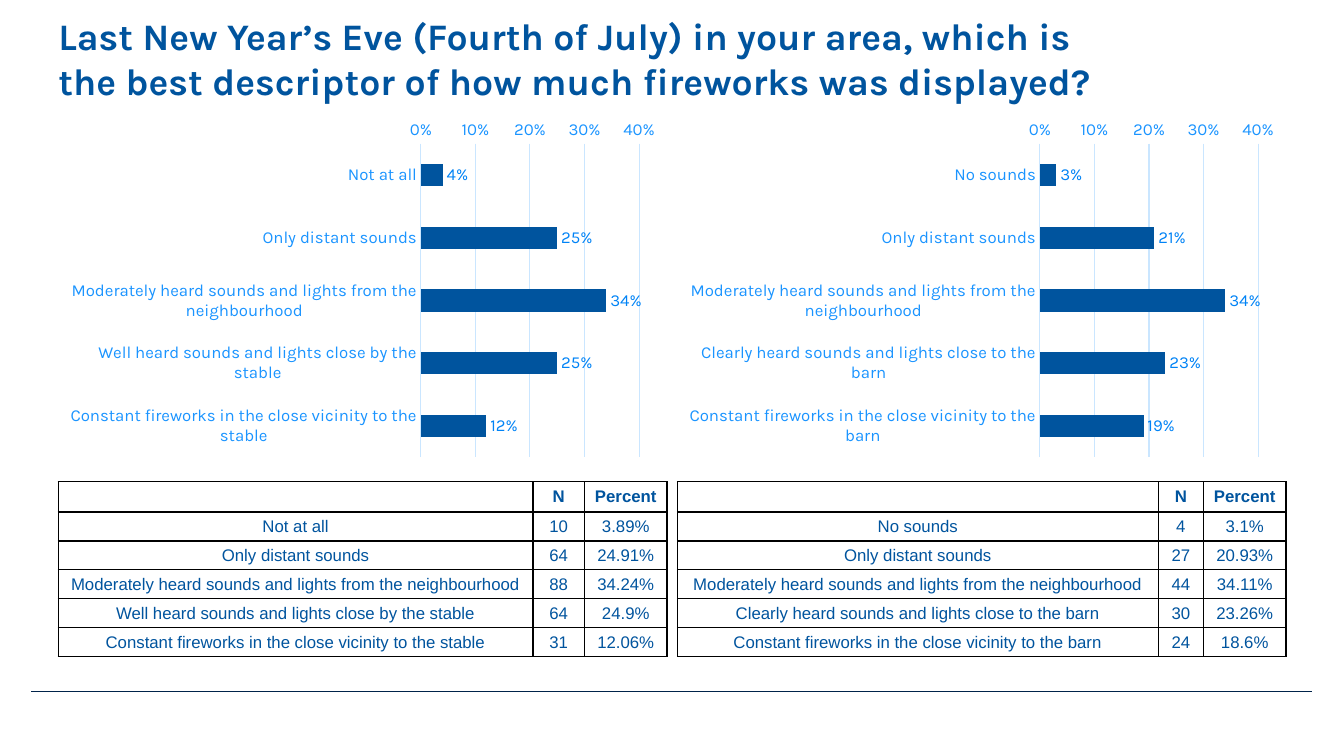
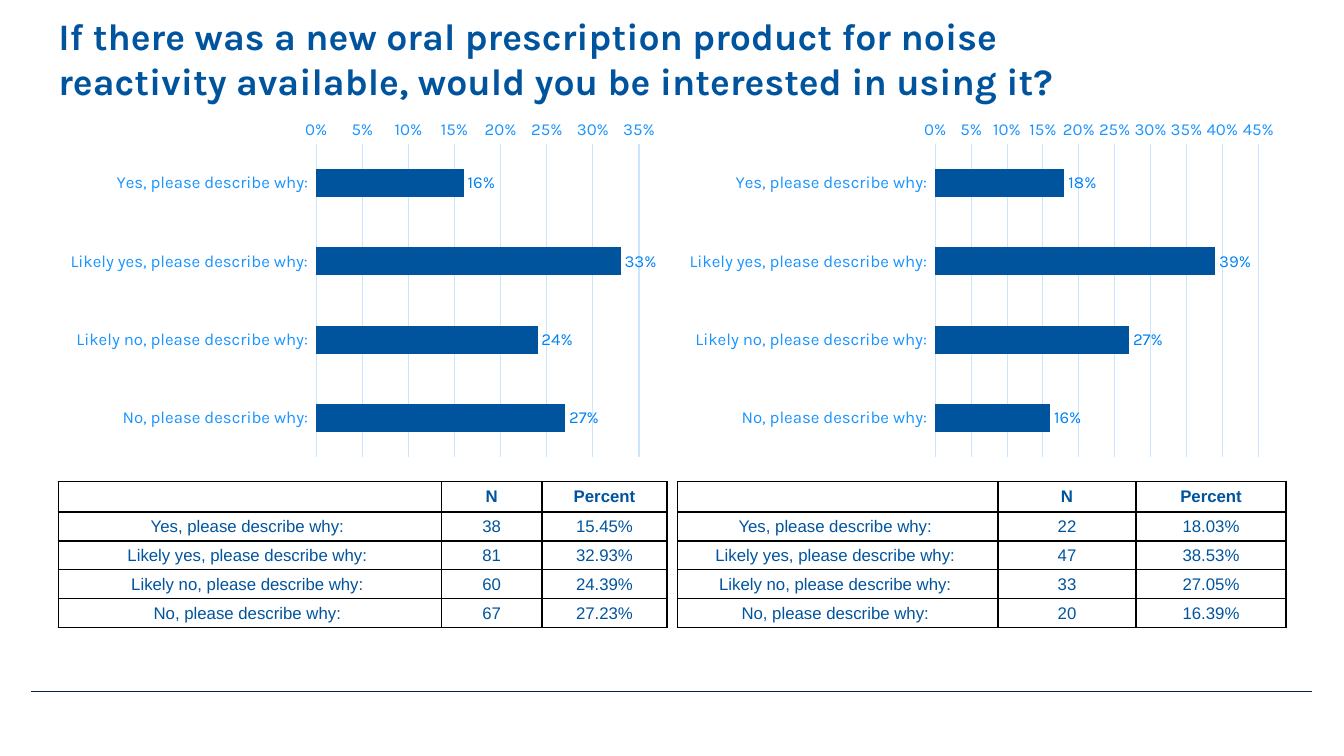
from lxml.etree import SubElement
from pptx import Presentation
from pptx.chart.data import CategoryChartData
from pptx.dml.color import RGBColor
from pptx.enum.chart import XL_AXIS_CROSSES, XL_CHART_TYPE, XL_LABEL_POSITION, XL_TICK_MARK
from pptx.enum.shapes import MSO_CONNECTOR
from pptx.enum.text import MSO_ANCHOR, MSO_AUTO_SIZE, PP_ALIGN
from pptx.oxml import parse_xml
from pptx.oxml.ns import nsdecls, qn
from pptx.util import Cm, Pt

NAVY, AXIS_BLUE, LABEL_BLUE, GRID_BLUE = "00549E", "1A94FF", "0083F6", "CAE6FF"
RULE_COLOUR, BORDER = "00234A", "000000"
TITLE_FONT, TABLE_FONT = "Karla", "Arial"

COLUMN_LEFTS = (1.47, 17.07)
COLUMN_WIDTH = 15.34
CHART_TOP, CHART_HEIGHT = 2.84, 8.86
TABLE_TOP, HEADER_HEIGHT, ROW_HEIGHT = 12.14, 0.76, 0.73

# Each panel: axis maximum, axis step, widths of the N and Percent columns,
# and rows of (answer, charted share, count, percent).
SURVEY = [
    ("Last New Year’s Eve (Fourth of July) in your area, which is the best descriptor "
     "of how much fireworks was displayed?", [
         (0.4, 0.1, (1.3, 2.08), [
             ("Not at all", 0.04, "10", "3.89%"),
             ("Only distant sounds", 0.25, "64", "24.91%"),
             ("Moderately heard sounds and lights from the neighbourhood", 0.34, "88", "34.24%"),
             ("Well heard sounds and lights close by the stable", 0.25, "64", "24.9%"),
             ("Constant fireworks in the close vicinity to the stable", 0.12, "31", "12.06%")]),
         (0.4, 0.1, (1.14, 2.08), [
             ("No sounds", 0.03, "4", "3.1%"),
             ("Only distant sounds", 0.21, "27", "20.93%"),
             ("Moderately heard sounds and lights from the neighbourhood", 0.34, "44", "34.11%"),
             ("Clearly heard sounds and lights close to the barn", 0.23, "30", "23.26%"),
             ("Constant fireworks in the close vicinity to the barn", 0.19, "24", "18.6%")])]),
    ("If there was a new oral prescription product for noise reactivity available, "
     "would you be interested in using it?", [
         (0.35, 0.05, (2.54, 3.15), [
             ("Yes, please describe why: ", 0.16, "38", "15.45%"),
             ("Likely yes, please describe why: ", 0.33, "81", "32.93%"),
             ("Likely no, please describe why: ", 0.24, "60", "24.39%"),
             ("No, please describe why: ", 0.27, "67", "27.23%")]),
         (0.45, 0.05, (3.48, 3.78), [
             ("Yes, please describe why: ", 0.18, "22", "18.03%"),
             ("Likely yes, please describe why: ", 0.39, "47", "38.53%"),
             ("Likely no, please describe why: ", 0.27, "33", "27.05%"),
             ("No, please describe why: ", 0.16, "20", "16.39%")])]),
]


def colour(hex_string):
    return RGBColor.from_string(hex_string)


def style_font(font, name, size, hex_string, bold=False):
    font.name, font.size, font.bold = name, Pt(size), bold
    font.color.rgb = colour(hex_string)


def style_line(line, hex_string, width):
    line.color.rgb = colour(hex_string)
    line.width = Pt(width)


def prepare_layout(layout):
    """Place the title once, for every page that uses the layout."""
    title = layout.placeholders[0]
    title.left, title.top, title.width, title.height = Cm(1.47), Cm(0.3), Cm(27.18), Cm(2.29)
    frame = title.text_frame
    frame.margin_left = frame.margin_right = frame.margin_top = frame.margin_bottom = 0
    frame.vertical_anchor = MSO_ANCHOR.BOTTOM
    frame.word_wrap = True
    frame.auto_size = MSO_AUTO_SIZE.NONE


def add_title(page, text):
    para = page.shapes.title.text_frame.paragraphs[0]
    para.text = text
    para.alignment = PP_ALIGN.LEFT
    style_font(para.runs[0].font, TITLE_FONT, 26.7, NAVY, bold=True)


def add_footer_rule(page):
    rule = page.shapes.add_connector(
        MSO_CONNECTOR.STRAIGHT, Cm(0.79), Cm(17.42), Cm(33.07), Cm(17.42))
    style_line(rule.line, RULE_COLOUR, 0.5)
    SubElement(rule.element.spPr, qn("a:effectLst"))


def add_bar_chart(page, left, top, width, height, rows, maximum, step):
    data = CategoryChartData(number_format="0%")
    data.categories = [row[0] for row in rows]
    data.add_series("Series 1", [row[1] for row in rows])
    chart = page.shapes.add_chart(
        XL_CHART_TYPE.BAR_CLUSTERED, Cm(left), Cm(top), Cm(width), Cm(height), data).chart
    chart.has_legend = chart.has_title = False
    style_font(chart.font, TITLE_FONT, 10, NAVY)

    answers, shares = chart.category_axis, chart.value_axis
    for axis in (answers, shares):
        axis.major_tick_mark = axis.minor_tick_mark = XL_TICK_MARK.NONE
        style_font(axis.tick_labels.font, TITLE_FONT, 12, AXIS_BLUE)
    answers.reverse_order = True
    answers.crosses = XL_AXIS_CROSSES.MAXIMUM
    style_line(answers.format.line, GRID_BLUE, 0.75)
    shares.minimum_scale, shares.maximum_scale, shares.major_unit = 0, maximum, step
    shares.tick_labels.number_format = "0%"
    shares.tick_labels.number_format_is_linked = False
    shares.format.line.fill.background()
    shares.has_major_gridlines = True
    style_line(shares.major_gridlines.format.line, GRID_BLUE, 0.75)

    plot = chart.plots[0]
    plot.gap_width = 182
    plot.vary_by_categories = False
    fill = plot.series[0].format.fill
    fill.solid()
    fill.fore_color.rgb = colour(NAVY)
    plot.has_data_labels = True
    labels = plot.data_labels
    labels.show_value = True
    labels.position = XL_LABEL_POSITION.OUTSIDE_END
    labels.number_format, labels.number_format_is_linked = "0%", False
    style_font(labels.font, TITLE_FONT, 12, LABEL_BLUE)


def add_borders(cell):
    properties = cell._tc.get_or_add_tcPr()
    for index, side in enumerate(("lnL", "lnR", "lnT", "lnB")):
        properties.insert(index, parse_xml(
            f'<a:{side} {nsdecls("a")} w="12700"><a:solidFill>'
            f'<a:srgbClr val="{BORDER}"/></a:solidFill></a:{side}>'))


def fill_cell(cell, text, bold):
    cell.fill.background()
    cell.margin_top = cell.margin_bottom = 0
    cell.vertical_anchor = MSO_ANCHOR.MIDDLE
    add_borders(cell)
    para = cell.text_frame.paragraphs[0]
    para.alignment = PP_ALIGN.CENTER
    span = para.add_run()
    span.text = text
    style_font(span.font, TABLE_FONT, 12, NAVY, bold)


def add_count_table(page, left, top, width, rows, number_widths):
    lines = [("", "N", "Percent")] + [(answer, count, percent)
                                      for answer, _, count, percent in rows]
    height = HEADER_HEIGHT + ROW_HEIGHT * len(rows)
    table = page.shapes.add_table(
        len(lines), 3, Cm(left), Cm(top), Cm(width), Cm(height)).table
    table.horz_banding = table.first_row = False
    for column, size in zip(table.columns, (width - sum(number_widths), *number_widths)):
        column.width = Cm(size)
    for index, (row, texts) in enumerate(zip(table.rows, lines)):
        row.height = Cm(ROW_HEIGHT if index else HEADER_HEIGHT)
        for cell, text in zip(row.cells, texts):
            fill_cell(cell, text, bold=index == 0)


def add_question_page(deck, layout, question, panels):
    page = deck.slides.add_slide(layout)
    add_footer_rule(page)
    add_title(page, question)
    for left, (maximum, step, number_widths, rows) in zip(COLUMN_LEFTS, panels):
        add_bar_chart(page, left, CHART_TOP, COLUMN_WIDTH, CHART_HEIGHT, rows, maximum, step)
        add_count_table(page, left, TABLE_TOP, COLUMN_WIDTH, rows, number_widths)


def main():
    deck = Presentation()
    deck.slide_width, deck.slide_height = Cm(33.87), Cm(19.05)
    layout = deck.slide_layouts.get_by_name("Title Only")
    prepare_layout(layout)
    for question, panels in SURVEY:
        add_question_page(deck, layout, question, panels)
    deck.save("out.pptx")


if __name__ == "__main__":
    main()
